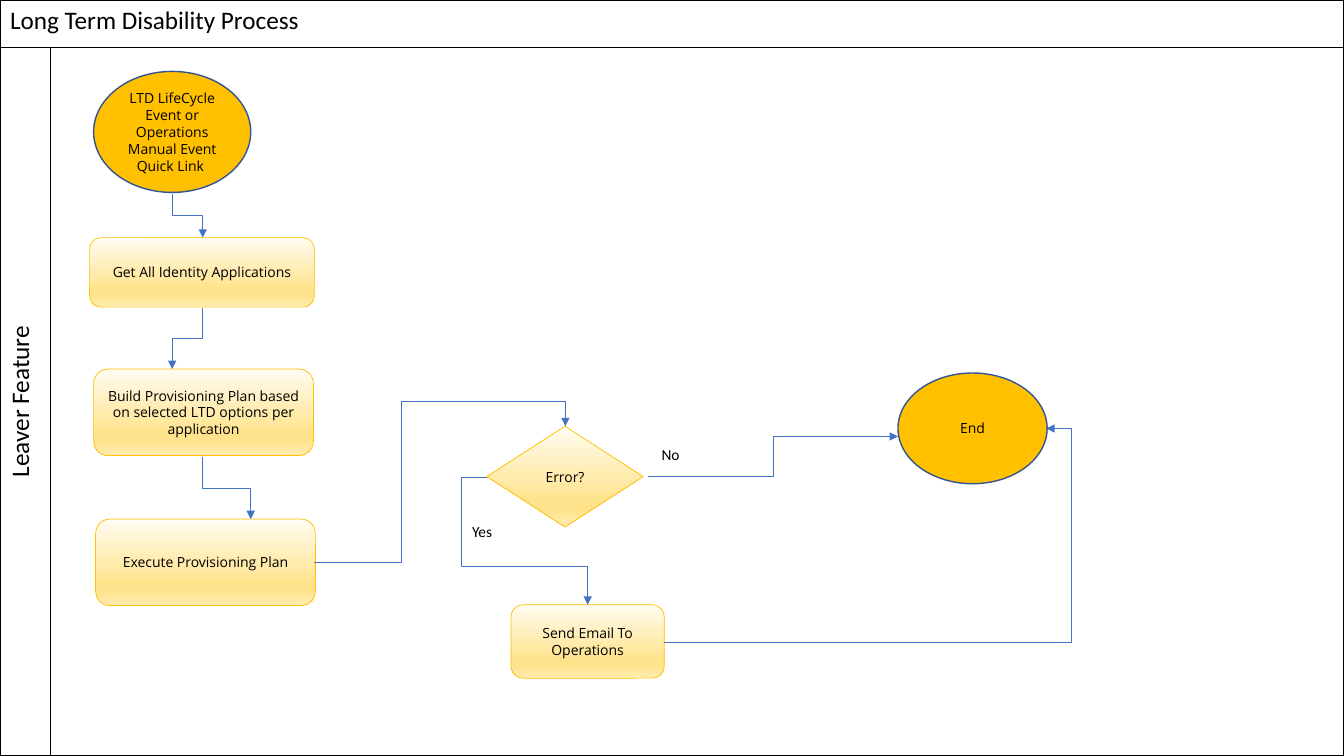
from lxml import etree
from pptx import Presentation
from pptx.dml.color import RGBColor
from pptx.enum.shapes import MSO_CONNECTOR, MSO_SHAPE
from pptx.enum.text import MSO_ANCHOR, PP_ALIGN
from pptx.oxml.ns import qn
from pptx.util import Cm, Pt

ELBOW = MSO_CONNECTOR.ELBOW
OVAL, BOX, DIAMOND = MSO_SHAPE.OVAL, MSO_SHAPE.ROUNDED_RECTANGLE, MSO_SHAPE.DIAMOND
MIDDLE, CENTER = MSO_ANCHOR.MIDDLE, PP_ALIGN.CENTER

COLORS = {"text": "000000", "border": "000000", "oval": "FFC000", "oval_line": "325491",
          "box_line": "FFC000", "arrow": "4472C4"}
GRADIENT = [(0, "FFFCF2"), (51, "FFEBAC"), (74, "FFE38C"), (83, "FFE38C"), (100, "FFECB2")]

WIDTH, HEIGHT = 33.87, 19.05
LANE_WIDTH, TITLE_HEIGHT = 1.27, 1.19
TITLE, LANE = "Long Term Disability Process", "Leaver Feature"

NODES = [
    (OVAL, "LTD LifeCycle Event or Operations Manual Event Quick Link ", 2.36, 1.8, 3.96, 3.05),
    (BOX, "Get All Identity Applications", 2.26, 5.99, 5.66, 1.75),
    (BOX, "Build Provisioning Plan based on selected LTD options per application",
     2.36, 9.3, 5.54, 2.18),
    (BOX, "Execute Provisioning Plan", 2.41, 13.08, 5.54, 2.18),
    (DIAMOND, "Error?", 12.27, 10.74, 3.94, 2.54),
    (BOX, "Send Email To Operations", 12.88, 15.24, 3.86, 1.85),
    (OVAL, "End", 22.63, 9.4, 3.76, 2.79),
]
DOWN_ARROWS = [
    ((4.34, 4.88), (5.11, 5.99)),
    ((5.11, 7.75), (4.34, 9.3)),
    ((5.11, 11.51), (6.32, 13.08)),
]
SIDE_ARROWS = [
    ((7.92, 14.17), (14.25, 10.74), 10.11, 10.11),
    ((12.27, 12.04), (14.81, 15.24), 11.63, 14.27),
    ((16.74, 16.18), (26.37, 10.8), 27.0, None),
    ((16.33, 12.01), (22.63, 11.0), 19.48, None),
]
LABELS = [("Yes", 11.58, 12.95), ("No", 16.33, 11.0)]
LABEL_SIZE = (1.14, 0.89)


def rgb(name):
    return RGBColor.from_string(COLORS[name])


def write(tf, text, size, font, align=None):
    p = tf.paragraphs[0]
    p.alignment = align
    r = p.add_run()
    r.text = text
    r.font.size = Pt(size)
    r.font.name = font
    r.font.color.rgb = rgb("text")


def add_color(parent, value):
    etree.SubElement(parent, qn("a:srgbClr"), val=value)


def add_frame(s):
    table = s.shapes.add_table(2, 2, 0, 0, Cm(WIDTH), Cm(HEIGHT)).table
    table.first_row = table.horz_banding = False
    for col, width in zip(table.columns, (LANE_WIDTH, WIDTH - LANE_WIDTH)):
        col.width = Cm(width)
    for row, height in zip(table.rows, (TITLE_HEIGHT, HEIGHT - TITLE_HEIGHT)):
        row.height = Cm(height)
    table.cell(0, 0).merge(table.cell(0, 1))
    for cell in table.iter_cells():
        cell.fill.background()
        tcPr = cell._tc.get_or_add_tcPr()
        for i, side in enumerate(("a:lnL", "a:lnR", "a:lnT", "a:lnB")):
            ln = etree.Element(qn(side), w=str(Pt(1)))
            add_color(etree.SubElement(ln, qn("a:solidFill")), COLORS["border"])
            tcPr.insert(i, ln)
    write(table.cell(0, 0).text_frame, TITLE, 18, "Calibri")
    lane = table.cell(1, 0)
    lane._tc.get_or_add_tcPr().set("vert", "vert270")
    write(lane.text_frame, LANE, 18, "Calibri", CENTER)


def fill_gradient(sp):
    sp.fill.gradient()
    sp.fill.gradient_angle = 270
    stops = sp._element.spPr.find(qn("a:gradFill")).find(qn("a:gsLst"))
    for stop in list(stops):
        stops.remove(stop)
    for pos, value in GRADIENT:
        add_color(etree.SubElement(stops, qn("a:gs"), pos=str(pos * 1000)), value)


def add_node(s, kind, text, x, y, w, h):
    sp = s.shapes.add_shape(kind, Cm(x), Cm(y), Cm(w), Cm(h))
    sp.shadow.inherit = False
    if kind == OVAL:
        sp.fill.solid()
        sp.fill.fore_color.rgb = rgb("oval")
    else:
        fill_gradient(sp)
    sp.line.color.rgb = rgb("oval_line" if kind == OVAL else "box_line")
    sp.line.width = Pt(1 if kind == OVAL else 0.5)
    tf = sp.text_frame
    tf.word_wrap = True
    tf.vertical_anchor = MIDDLE
    write(tf, text, 10, "Open Sans", CENTER)


def add_arrow(s, start, end, adjusts):
    c = s.shapes.add_connector(ELBOW, *(Cm(v) for v in start + end))
    c.line.color.rgb = rgb("arrow")
    c.line.width = Pt(0.5)
    etree.SubElement(c.line._get_or_add_ln(), qn("a:tailEnd"), type="triangle")
    spPr = c._element.spPr
    etree.SubElement(spPr, qn("a:effectLst"))
    geom = spPr.find(qn("a:prstGeom"))
    geom.set("prst", f"bentConnector{len(adjusts) + 2}")
    guides = geom.find(qn("a:avLst"))
    for i, share in enumerate(adjusts, 1):
        etree.SubElement(guides, qn("a:gd"), name=f"adj{i}", fmla=f"val {round(share * 100000)}")
    return c


def add_down_arrow(s, start, end):
    (x1, y1), (x2, y2) = start, end
    cx, cy = (x1 + x2) / 2, (y1 + y2) / 2
    along, across = (y2 - y1) / 2, (x2 - x1) / 2
    c = add_arrow(s, (cx - along, cy + across), (cx + along, cy - across), [0.5])
    c._element.spPr.find(qn("a:xfrm")).set("rot", "5400000")


def add_side_arrow(s, start, end, via_x, via_y):
    adjusts = [(via_x - start[0]) / (end[0] - start[0])]
    if via_y is not None:
        adjusts.append((via_y - start[1]) / (end[1] - start[1]))
    add_arrow(s, start, end, adjusts)


def add_label(s, text, x, y):
    tf = s.shapes.add_textbox(Cm(x), Cm(y), *(Cm(v) for v in LABEL_SIZE)).text_frame
    tf.word_wrap = True
    tf.margin_left = tf.margin_right = 0
    tf.vertical_anchor = MIDDLE
    write(tf, text, 11, "Calibri", CENTER)


def main():
    prs = Presentation()
    prs.slide_width, prs.slide_height = Cm(WIDTH), Cm(HEIGHT)
    s = prs.slides.add_slide(prs.slide_layouts[6])
    add_frame(s)
    for draw, items in ((add_node, NODES), (add_side_arrow, SIDE_ARROWS),
                        (add_down_arrow, DOWN_ARROWS), (add_label, LABELS)):
        for item in items:
            draw(s, *item)
    prs.save("out.pptx")


if __name__ == "__main__":
    main()
